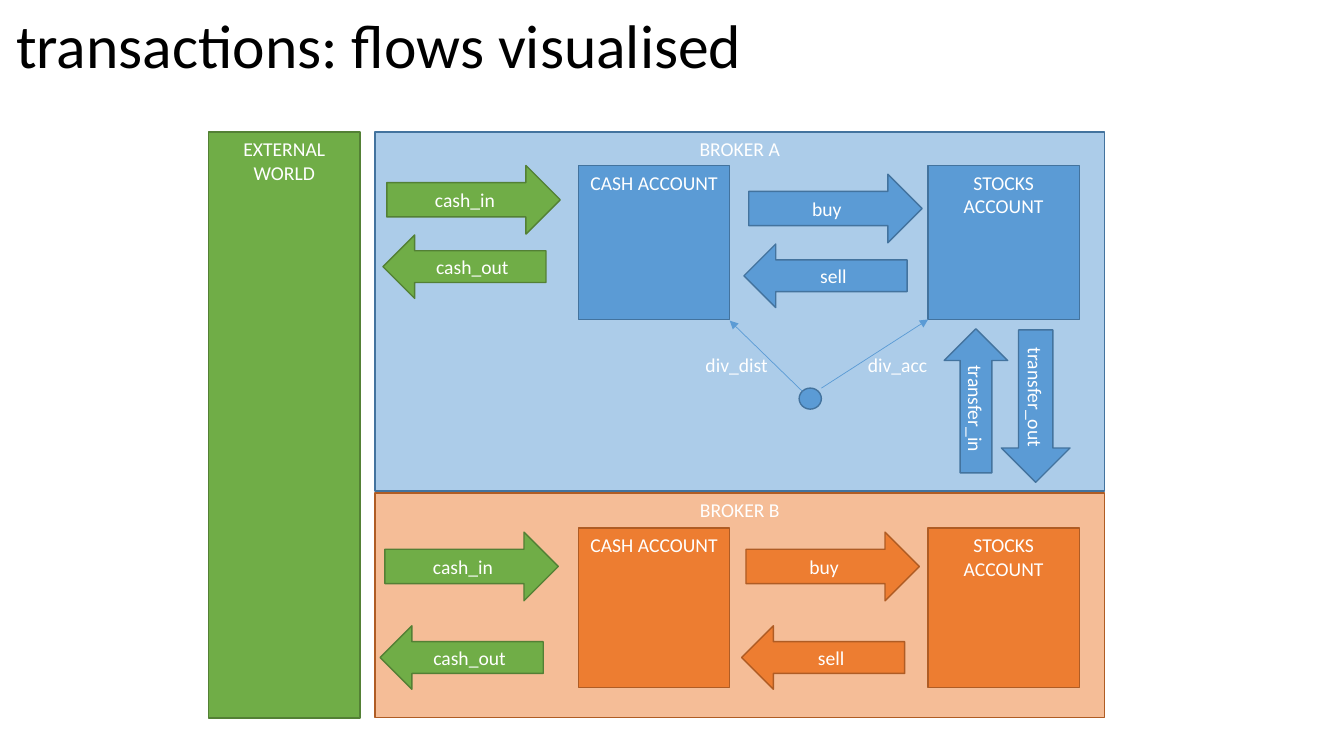
from lxml.etree import SubElement
from pptx import Presentation
from pptx.dml.color import RGBColor
from pptx.enum.shapes import MSO_CONNECTOR, MSO_SHAPE
from pptx.enum.text import MSO_ANCHOR, PP_ALIGN
from pptx.oxml.ns import qn
from pptx.util import Cm, Pt

TITLE = "transactions: flows visualised"
FONT = "Calibri"
WHITE = "FFFFFF"
GREEN = ("70AD47", "538035")
BLUE = ("5B9BD5", "43739E")
ORANGE = ("ED7D31", "AF5C24")

BROKER_LEFT, BROKER_WIDTH = 9.45, 18.39
ACCOUNT_WIDTH = 3.81
ACCOUNTS = [("CASH ACCOUNT", 14.58), ("STOCKS ACCOUNT", 23.39)]
EXTERNAL_WORLD = ("EXTERNAL WORLD", 5.26, 3.33, ACCOUNT_WIDTH, 14.76)

BROKERS = [
    {"name": "BROKER B", "colors": ORANGE, "top": 12.42, "height": 5.66,
     "account_top": 13.31, "account_height": 4.01,
     "flows": [("cash_in", 9.7, 13.41), ("cash_out", 9.58, 15.77),
               ("buy", 18.8, 13.41), ("sell", 18.69, 15.77)]},
    {"name": "BROKER A", "colors": BLUE, "top": 3.33, "height": 9.04,
     "account_top": 4.17, "account_height": 3.89,
     "flows": [("cash_in", 9.75, 4.17), ("cash_out", 9.65, 5.92),
               ("buy", 18.87, 4.39), ("sell", 18.75, 6.15)]},
]
ARROWS = {
    "right": (MSO_SHAPE.RIGHT_ARROW, 4.37, 1.73),
    "left": (MSO_SHAPE.LEFT_ARROW, 4.11, 1.6),
}
DIRECTIONS = {"cash_in": "right", "cash_out": "left", "buy": "right", "sell": "left"}
TRANSFERS = [
    ("transfer_out", "right", 24.18, 9.37, 3.84),
    ("transfer_in", "left", 22.78, 9.3, 3.63),
]
DIVIDEND_SOURCE = (20.14, 9.78, 0.56, 0.53)
DIVIDENDS = [
    ("div_acc", (20.7, 9.78), (23.39, 8.05), (21.62, 8.76, 2.46, 0.86)),
    ("div_dist", (20.22, 9.86), (18.39, 8.08), (17.53, 8.76, 2.21, 0.86)),
]


def rgb(color):
    return RGBColor.from_string(color)


def write(shape, text, size=14, color=WHITE, align=PP_ALIGN.CENTER,
          anchor=MSO_ANCHOR.TOP, line_spacing=None):
    frame = shape.text_frame
    frame.word_wrap = True
    frame.vertical_anchor = anchor
    paragraph = frame.paragraphs[0]
    paragraph.alignment = align
    paragraph.line_spacing = line_spacing
    run = paragraph.add_run()
    run.text = text
    run.font.name = FONT
    run.font.size = Pt(size)
    run.font.color.rgb = rgb(color)


def add_block(slide, kind, box, colors, opacity=None):
    shape = slide.shapes.add_shape(kind, *map(Cm, box))
    shape.shadow.inherit = False
    shape.fill.solid()
    shape.fill.fore_color.rgb = rgb(colors[0])
    shape.line.color.rgb = rgb(colors[1])
    shape.line.width = Pt(1)
    if opacity is not None:
        color = shape.fill._xPr.find(qn("a:solidFill"))[0]
        SubElement(color, qn("a:alpha"), val=str(opacity * 1000))
    return shape


def add_flow(slide, text, direction, left, top, colors, length=None, rotation=0):
    kind, width, height = ARROWS[direction]
    arrow = add_block(slide, kind, (left, top, length or width, height), colors)
    arrow.rotation = rotation
    write(arrow, text, anchor=MSO_ANCHOR.MIDDLE)


def add_arrow_line(slide, start, end, color):
    connector = slide.shapes.add_connector(
        MSO_CONNECTOR.STRAIGHT, *map(Cm, start + end))
    connector.line.color.rgb = rgb(color)
    connector.line.width = Pt(0.5)
    SubElement(connector.line._get_or_add_ln(), qn("a:tailEnd"), type="triangle")
    SubElement(connector._element.spPr, qn("a:effectLst"))


def add_title(slide):
    title = slide.shapes.title
    title.left, title.top, title.width, title.height = map(
        Cm, (0.15, -0.61, 29.21, 3.68))
    write(title, TITLE, size=44, color="000000", align=PP_ALIGN.LEFT,
          anchor=MSO_ANCHOR.MIDDLE, line_spacing=0.9)


def add_brokers(slide):
    for broker in BROKERS:
        box = (BROKER_LEFT, broker["top"], BROKER_WIDTH, broker["height"])
        panel = add_block(slide, MSO_SHAPE.RECTANGLE, box, broker["colors"], opacity=50)
        write(panel, broker["name"])
        for name, left in ACCOUNTS:
            box = (left, broker["account_top"], ACCOUNT_WIDTH, broker["account_height"])
            account = add_block(slide, MSO_SHAPE.RECTANGLE, box, broker["colors"])
            write(account, name)
        for name, left, top in broker["flows"]:
            colors = GREEN if name.startswith("cash") else broker["colors"]
            add_flow(slide, name, DIRECTIONS[name], left, top, colors)


def add_dividends(slide):
    add_block(slide, MSO_SHAPE.OVAL, DIVIDEND_SOURCE, BLUE)
    for name, start, end, label_box in DIVIDENDS:
        add_arrow_line(slide, start, end, BLUE[0])
        label = slide.shapes.add_textbox(*map(Cm, label_box))
        write(label, name, align=PP_ALIGN.LEFT)


def main():
    presentation = Presentation()
    presentation.slide_width = Cm(33.87)
    presentation.slide_height = Cm(19.05)
    slide = presentation.slides.add_slide(presentation.slide_layouts[5])
    add_title(slide)
    name, *box = EXTERNAL_WORLD
    write(add_block(slide, MSO_SHAPE.RECTANGLE, box, GREEN), name)
    add_brokers(slide)
    for name, direction, left, top, length in TRANSFERS:
        add_flow(slide, name, direction, left, top, BLUE, length=length, rotation=90)
    add_dividends(slide)
    presentation.save("out.pptx")


if __name__ == "__main__":
    main()
